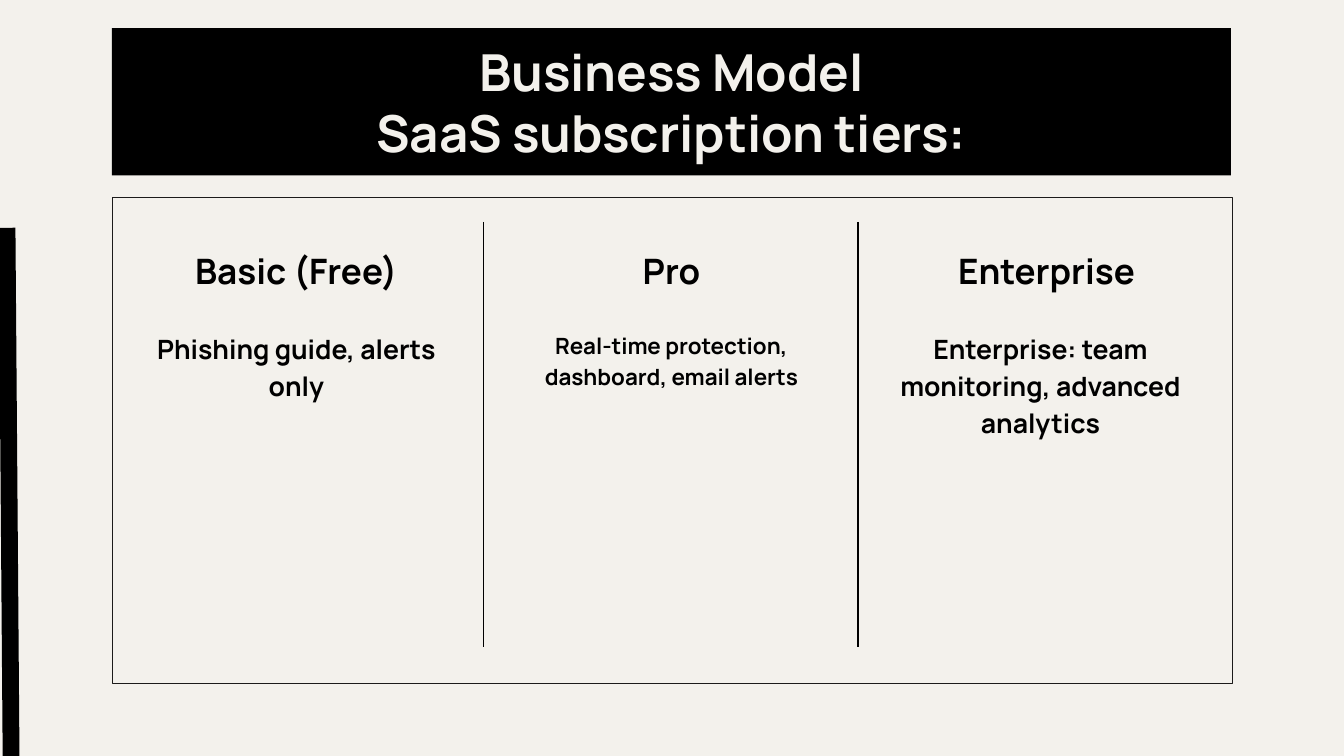
from dataclasses import dataclass

from lxml import etree
from pptx import Presentation
from pptx.dml.color import RGBColor
from pptx.enum.shapes import MSO_CONNECTOR, MSO_SHAPE
from pptx.enum.text import MSO_ANCHOR, PP_ALIGN
from pptx.oxml.ns import qn
from pptx.util import Inches, Pt

RECT = MSO_SHAPE.RECTANGLE
STRAIGHT = MSO_CONNECTOR.STRAIGHT
MIDDLE, TOP = MSO_ANCHOR.MIDDLE, MSO_ANCHOR.TOP
CENTER = PP_ALIGN.CENTER


@dataclass(frozen=True)
class Theme:
    font: str = "Manrope"
    paper: RGBColor = RGBColor(0xF3, 0xF1, 0xEC)
    ink: RGBColor = RGBColor(0, 0, 0)
    frame: RGBColor = RGBColor(0x1C, 0x1B, 0x1A)
    title: float = 36.4
    head: float = 25
    body: float = 19
    small: float = 16
    thin: float = 0.75
    thick: float = 12
    inset: float = 0.13


class Board:
    """Draws styled elements on the current slide."""

    def __init__(self, slide, theme):
        self.slide = slide
        self.theme = theme
        fill = slide.background.fill
        fill.solid()
        fill.fore_color.rgb = theme.paper

    def box(self, left, top, width, height, fill=None, line=None):
        shape = self.slide.shapes.add_shape(
            RECT, Inches(left), Inches(top), Inches(width), Inches(height))
        shape.shadow.inherit = False
        if fill is None:
            shape.fill.background()
        else:
            shape.fill.solid()
            shape.fill.fore_color.rgb = fill
        if line is None:
            shape.line.fill.background()
        else:
            shape.line.color.rgb = line
            shape.line.width = Pt(self.theme.thin)
        return shape

    def line(self, start, end, width):
        x1, y1, x2, y2 = map(Inches, (*start, *end))
        rule = self.slide.shapes.add_connector(STRAIGHT, x1, y1, x2, y2)
        rule.line.color.rgb = self.theme.ink
        rule.line.width = Pt(width)
        props = rule._element.find(qn("p:spPr"))
        etree.SubElement(props, qn("a:effectLst"))

    def label(self, shape, words, size, color, anchor=TOP):
        frame = shape.text_frame
        frame.text = words
        frame.word_wrap = True
        frame.vertical_anchor = anchor
        inset = Inches(self.theme.inset)
        frame.margin_left = frame.margin_right = inset
        frame.margin_top = frame.margin_bottom = inset
        para = frame.paragraphs[0]
        para.alignment = CENTER
        for run in para.runs:
            run.font.name = self.theme.font
            run.font.size = Pt(size)
            run.font.bold = True
            run.font.color.rgb = color
        return para

    def text(self, left, top, width, height, words, size):
        shape = self.slide.shapes.add_textbox(
            Inches(left), Inches(top), Inches(width), Inches(height))
        return self.label(shape, words, size, self.theme.ink)

    def tier(self, left, shift, head, body, size):
        self.text(left, 2.35, 3.26, 1.05, head, self.theme.head)
        para = self.text(left + shift, 3.13, 3.26, 2.67, body, size)
        para.line_spacing = 1.15
        para.space_after = Pt(16)


def main():
    deck = Presentation()
    deck.slide_width, deck.slide_height = Inches(13.33), Inches(7.5)
    theme = Theme()
    board = Board(deck.slides.add_slide(deck.slide_layouts[6]), theme)

    board.box(1.12, 1.96, 11.1, 4.82, line=theme.frame)
    for x in (4.8, 8.51):
        board.line((x, 2.2), (x, 6.42), theme.thin)

    title = board.box(1.11, 0.28, 11.1, 1.46, fill=theme.ink)
    board.label(title, "Business Model\vSaaS subscription tiers:",
                theme.title, theme.paper, MIDDLE)

    tiers = (
        ("Basic (Free)", "Phishing guide, alerts only", theme.body, 0),
        ("Pro", "Real-time protection, dashboard, email alerts", theme.small, 0),
        ("Enterprise", "Enterprise: team monitoring, advanced analytics",
         theme.body, -0.06),
    )
    for i, (head, body, size, shift) in enumerate(tiers):
        board.tier(1.31 + 3.72 * i, shift, head, body, size)

    board.line((0.07, 2.26), (0.11, 7.5), theme.thick)
    deck.save("out.pptx")


if __name__ == "__main__":
    main()
